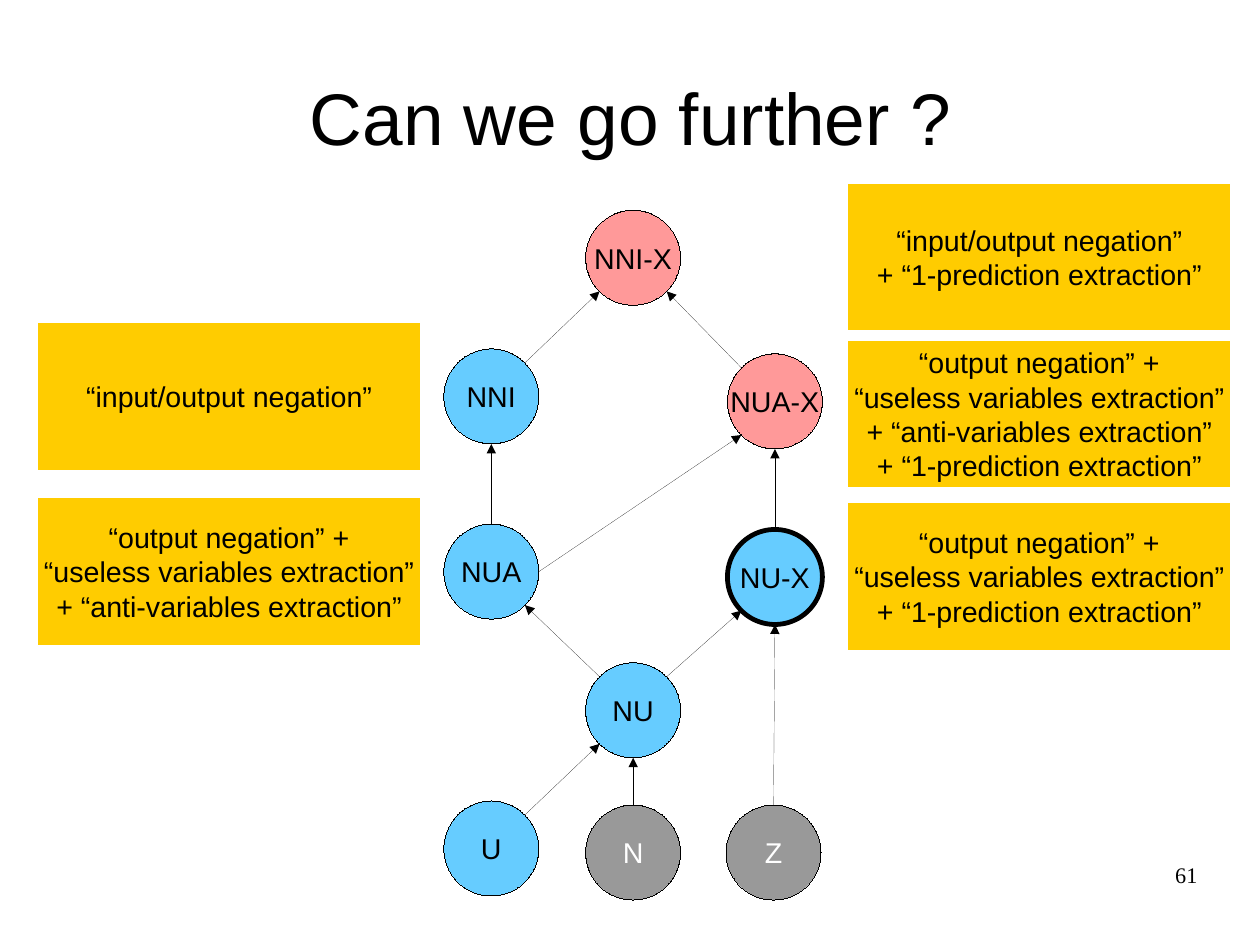
from math import cos, radians, sin

from lxml import etree
from pptx import Presentation
from pptx.dml.color import RGBColor
from pptx.enum.shapes import MSO_CONNECTOR, MSO_SHAPE
from pptx.enum.text import MSO_ANCHOR, PP_ALIGN
from pptx.oxml.ns import qn
from pptx.util import Cm, Pt

CIRCLE, RECTANGLE = MSO_SHAPE.OVAL, MSO_SHAPE.RECTANGLE
STRAIGHT = MSO_CONNECTOR.STRAIGHT
CENTER, RIGHT = PP_ALIGN.CENTER, PP_ALIGN.RIGHT
TOP, MIDDLE = MSO_ANCHOR.TOP, MSO_ANCHOR.MIDDLE

COLORS = {
    "black": "000000",
    "white": "FFFFFF",
    "blue": "66CCFF",
    "pink": "FF9999",
    "gray": "999999",
    "amber": "FFCC00",
}

HAIRLINE = 0.01
DIAMETER = 2.11
COLUMN_STEP = 3.15

PROBLEMS = {
    "N": (1, 13.21, "gray"),
    "NU": (1, 10.05, "blue"),
    "NUA": (0, 6.97, "blue"),
    "NNI": (0, 3.08, "blue"),
    "NNI-X": (1, 0, "pink"),
    "NUA-X": (2, 3.19, "pink"),
    "NU-X": (2, 7.09, "blue"),
    "Z": (1.99, 13.21, "gray"),
    "U": (0, 13.12, "blue"),
}

(AT_TOP, AT_TOP_LEFT, AT_LEFT, AT_BOTTOM_LEFT,
 AT_BOTTOM, AT_BOTTOM_RIGHT, AT_RIGHT, AT_TOP_RIGHT) = range(8)

REDUCTIONS = [
    ("N", AT_TOP, "NU", AT_BOTTOM),
    ("NU", AT_TOP_LEFT, "NUA", AT_BOTTOM_RIGHT),
    ("NU", AT_TOP_RIGHT, "NU-X", AT_BOTTOM_LEFT),
    ("NUA", AT_TOP, "NNI", AT_BOTTOM),
    ("NU-X", AT_TOP, "NUA-X", AT_BOTTOM),
    ("NNI", AT_TOP_RIGHT, "NNI-X", AT_BOTTOM_LEFT),
    ("NUA-X", AT_TOP_LEFT, "NNI-X", AT_BOTTOM_RIGHT),
    ("NUA", AT_RIGHT, "NUA-X", AT_BOTTOM_LEFT),
    ("Z", AT_TOP, "NU-X", AT_BOTTOM),
    ("U", AT_TOP_RIGHT, "NU", AT_BOTTOM_LEFT),
]

BOTH_NEGATION = "“input/output negation”"
OUTPUT_NEGATION = "“output negation” +"
USELESS = "“useless variables extraction”"
ANTI = "+ “anti-variables extraction”"
ONE_PREDICTION = "+ “1-prediction extraction”"

LEFT_TECHNIQUES = [
    (7.19, [BOTH_NEGATION]),
    (11.08, [OUTPUT_NEGATION, USELESS, ANTI]),
]
RIGHT_TECHNIQUES = [
    (4.09, [BOTH_NEGATION, ONE_PREDICTION]),
    (7.58, [OUTPUT_NEGATION, USELESS, ANTI, ONE_PREDICTION]),
    (11.19, [OUTPUT_NEGATION, USELESS, ONE_PREDICTION]),
]


def rgb(color):
    return RGBColor.from_string(COLORS[color])


def write(frame, lines, size=18, font="Arial", color="black", align=CENTER,
          anchor=MIDDLE, wrap=False, margins=(0.25, 0.13)):
    frame.word_wrap = wrap
    frame.vertical_anchor = anchor
    frame.margin_left = frame.margin_right = Cm(margins[0])
    frame.margin_top = frame.margin_bottom = Cm(margins[1])
    for index, line in enumerate(lines):
        paragraph = frame.add_paragraph() if index else frame.paragraphs[0]
        paragraph.alignment = align
        run = paragraph.add_run()
        run.text = line
        run.font.size = Pt(size)
        run.font.name = font
        run.font.color.rgb = rgb(color)


def add_filled(slide, kind, box, fill, line="black", weight=HAIRLINE):
    shape = slide.shapes.add_shape(kind, *map(Cm, box))
    shape.shadow.inherit = False
    shape.fill.solid()
    shape.fill.fore_color.rgb = rgb(fill)
    shape.line.color.rgb = rgb(line)
    shape.line.width = Pt(weight)
    return shape


def rim_point(circle, site):
    angle = radians(90 + 45 * site)
    radius = circle.width / 2
    return (round(circle.left + radius * (1 + cos(angle))),
            round(circle.top + radius * (1 - sin(angle))))


def add_arrow(slide, source, source_site, target, target_site):
    arrow = slide.shapes.add_connector(
        STRAIGHT, *rim_point(source, source_site), *rim_point(target, target_site))
    arrow.line.color.rgb = rgb("black")
    arrow.line.width = Pt(HAIRLINE)
    properties = arrow._element.spPr
    etree.SubElement(properties.find(qn("a:ln")), qn("a:tailEnd"), type="triangle")
    etree.SubElement(properties, qn("a:effectLst"))
    glue = arrow._element.find(".//" + qn("p:cNvCxnSpPr"))
    for tag, circle, site in (("a:stCxn", source, source_site),
                              ("a:endCxn", target, target_site)):
        etree.SubElement(glue, qn(tag), id=str(circle.shape_id), idx=str(site))


def add_title(slide, box):
    title = slide.shapes.title
    title.left, title.top, title.width, title.height = map(Cm, box)
    write(title.text_frame, ["Can we go further ?"], size=46, wrap=True, margins=(0, 0))


def add_hierarchy(slide, left, top):
    circles = {}
    for problem, (column, offset, fill) in PROBLEMS.items():
        box = (left + column * COLUMN_STEP, top + offset, DIAMETER, DIAMETER)
        weight = 3 if problem == "NU-X" else HAIRLINE
        circle = add_filled(slide, CIRCLE, box, fill, weight=weight)
        write(circle.text_frame, [problem], color="white" if fill == "gray" else "black")
        circles[problem] = circle
    for source, source_site, target, target_site in REDUCTIONS:
        add_arrow(slide, circles[source], source_site, circles[target], target_site)


def add_techniques(slide, left, techniques, width=8.46, height=3.23):
    for top, lines in techniques:
        card = add_filled(slide, RECTANGLE, (left, top, width, height), "amber", line="amber")
        write(card.text_frame, lines)


def add_page_number(slide, box):
    number = slide.shapes.add_textbox(*map(Cm, box))
    write(number.text_frame, ["61"], size=14, font="Times New Roman", align=RIGHT,
          anchor=TOP, wrap=True, margins=(0, 0))


def main():
    deck = Presentation()
    deck.slide_width = Cm(27.99)
    deck.slide_height = Cm(21.01)
    deck.element.find(qn("p:sldSz")).attrib.pop("type", None)
    slide = deck.slides.add_slide(deck.slide_layouts[5])
    add_title(slide, (1.4, 0.84, 25.2, 3.5))
    add_hierarchy(slide, 9.86, 4.67)
    add_techniques(slide, 0.86, LEFT_TECHNIQUES)
    add_techniques(slide, 18.86, RIGHT_TECHNIQUES)
    add_page_number(slide, (20.07, 19.13, 6.53, 1.45))
    deck.save("out.pptx")


if __name__ == "__main__":
    main()
